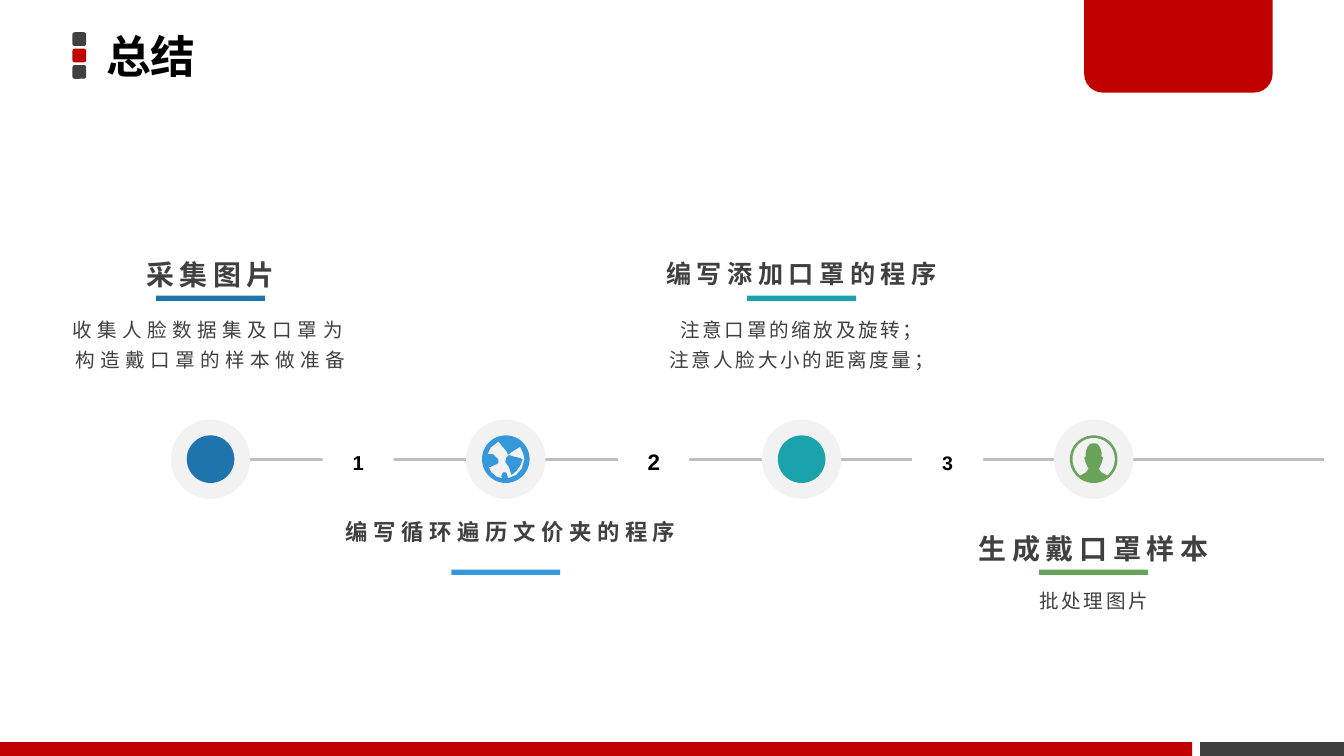
"""Build a summary slide with a four-step timeline."""
import math

import pptx
import pptx.dml.color
import pptx.enum.shapes
import pptx.enum.text
import pptx.oxml.ns
import pptx.oxml.xmlchemy
import pptx.util
from pptx.util import Cm

RGB = pptx.dml.color.RGBColor
SHAPE = pptx.enum.shapes.MSO_SHAPE
ALIGN = pptx.enum.text.PP_ALIGN
ANCHOR = pptx.enum.text.MSO_ANCHOR
qn = pptx.oxml.ns.qn

RED = RGB(0xC0, 0x00, 0x00)
DARK = RGB(0x40, 0x40, 0x40)
BLACK = RGB(0x00, 0x00, 0x00)
WHITE = RGB(0xFF, 0xFF, 0xFF)
PALE = RGB(0xF2, 0xF2, 0xF2)
GREY = RGB(0xBF, 0xBF, 0xBF)
NAVY = RGB(0x1F, 0x74, 0xAD)
BLUE = RGB(0x34, 0x98, 0xDB)
TEAL = RGB(0x1A, 0xA3, 0xAA)
GREEN = RGB(0x69, 0xA3, 0x5B)

AXIS = 8.68
UPPER, LOWER = 5.59, 10.77
GLOBE_SEA = [
    (0.4, 3.6), (0.4, 3.3), (0.1, 2.5), (-0.6, 2.5), (-0.9, 3.3), (-0.6, 3.6),
    (-1.7, 3.3), (-2.7, 2.5), (-3.2, 1.5), (-2.9, 1.5), (-1.4, 0.8), (-1.4, 0),
    (-2.4, -1), (-3.4, -1), (-2.8, -2.2), (-1.4, -3.3), (-0.6, -2.3),
    (0.1, -1.5), (0.4, -0.8), (1.1, -1.3), (2.2, -2), (2.7, -2.3), (3.3, -1),
    (3.5, 0), (3, 1.8), (1.9, 3)]
GLOBE_LAND = [
    (2.4, -0.3), (1.4, -0.5), (0.6, -0.8), (0.1, -0.3), (-0.1, 0.5), (0.1, 0.8),
    (0.6, 1.5), (0.9, 2.5), (1.1, 3), (1.9, 2.3), (2.7, 1.3), (3.2, 0)]
PROFILE = [
    (2.5, 3.05), (1.5, 2.5), (1, 1.8), (1.5, 0.8), (1.8, -0.3), (1.5, -0.5),
    (1.5, -1.3), (1.2, -2.3), (0.7, -2.9), (0, -3)]
HALO = [(4 * math.cos(math.radians(a)), 4 * math.sin(math.radians(a)))
        for a in range(130, 411, 10)]
PERSON_BACKDROP = PROFILE + [(-x, y) for x, y in reversed(PROFILE)] + HALO

STEPS = [
    (3.98, UPPER, NAVY, "采集图片", 15, (3.98, 5.87, 0.89),
     ["收集人脸数据集及口罩为构造戴口罩的样本做准备"], 3, 1.3, []),
    (9.56, LOWER, BLUE, "编写循环遍历文价夹的程序", 12, (9.65, 7.11, 1.47),
     [], 0, 1, [(GLOBE_SEA, PALE), (GLOBE_LAND, BLUE)]),
    (15.15, UPPER, TEAL, "编写添加口罩的程序", 13.5, (15.15, 5.87, 0.89),
     ["注意口罩的缩放及旋转；", "注意人脸大小的距离度量；"], 1.5, 1.3, []),
    (20.67, LOWER, GREEN, "生成戴口罩样本", 15, (20.67, 5.87, 0.89),
     ["批处理图片"], 1.5, 1.2, [(PERSON_BACKDROP, PALE)]),
]


class Deck:
    """Hold the style and the current slide."""

    def __init__(self):
        self.file = pptx.Presentation()
        self.file.slide_width, self.file.slide_height = Cm(25.4), Cm(14.29)
        self.slide = self.file.slides.add_slide(self.file.slide_layouts[5])
        self.shapes = self.slide.shapes

    def paint(self, shape, color):
        shape.shadow.inherit = False
        shape.fill.solid()
        shape.fill.fore_color.rgb = color
        shape.line.fill.background()
        return shape

    def block(self, kind, left, top, width, height, color):
        shape = self.shapes.add_shape(kind, Cm(left), Cm(top), Cm(width), Cm(height))
        return self.paint(shape, color)

    def disc(self, center, diameter, color):
        self.block(SHAPE.OVAL, center - diameter / 2, AXIS - diameter / 2,
                   diameter, diameter, color)

    def outline(self, center, points_mm, color):
        points = [(Cm(center + x / 10), Cm(AXIS + y / 10)) for x, y in points_mm]
        builder = self.shapes.build_freeform(*points[0])
        builder.add_line_segments(points[1:], close=True)
        self.paint(builder.convert_to_shape(), color)

    def axis(self, start, end):
        line = self.shapes.add_connector(
            pptx.enum.shapes.MSO_CONNECTOR.STRAIGHT, Cm(start), Cm(AXIS), Cm(end), Cm(AXIS))
        line.line.color.rgb = GREY
        line.line.width = pptx.util.Pt(1.5)
        properties = line.element.find(qn("p:spPr"))
        properties.append(pptx.oxml.xmlchemy.OxmlElement("a:effectLst"))

    def fill_text(self, shape, lines, size, color, bold=False, spacing=1.2, tracking=0,
                  anchor=ANCHOR.MIDDLE, align=ALIGN.CENTER, font="Arial"):
        frame = shape.text_frame
        frame.word_wrap = True
        frame.vertical_anchor = anchor
        frame.text = "\n".join(lines)
        for paragraph in frame.paragraphs:
            paragraph.alignment = align
            paragraph.line_spacing = spacing
            paragraph.font.name = font
            paragraph.font.size = pptx.util.Pt(size)
            paragraph.font.bold = bold
            paragraph.font.color.rgb = color
        if tracking:
            for properties in shape.element.iter(qn("a:defRPr")):
                properties.set("spc", str(int(tracking * 100)))

    def inset(self, shape, bottom):
        frame = shape.text_frame
        frame.margin_left = frame.margin_right = Cm(0.18)
        frame.margin_top, frame.margin_bottom = Cm(0.1), Cm(bottom)

    def text(self, center, top, width, height, lines, size, bottom=0.1, **style):
        box = self.shapes.add_textbox(Cm(center - width / 2), Cm(top), Cm(width), Cm(height))
        self.inset(box, bottom)
        self.fill_text(box, lines, size, DARK, **style)

    def number(self, center, label, size, spacing):
        box = self.block(SHAPE.RECTANGLE, center - 0.67, AXIS - 0.38, 1.34, 0.79, WHITE)
        self.inset(box, 0.1)
        self.fill_text(box, [label], size, BLACK, bold=True, spacing=spacing)

    def title(self, words):
        title = self.shapes.title
        title.left, title.top, title.width, title.height = Cm(1.75), Cm(0), Cm(21.92), Cm(2.21)
        self.fill_text(title, [words], 24, BLACK, bold=True, spacing=0.9,
                       align=ALIGN.LEFT, font="Noto Sans CJK SC")


def main():
    deck = Deck()
    for row, color in enumerate([DARK, RED, DARK]):
        deck.block(SHAPE.ROUNDED_RECTANGLE, 1.37, 0.61 + row * 0.31, 0.26, 0.26, color)
    deck.block(SHAPE.RECTANGLE, 22.68, 14.03, 2.72, 0.26, DARK)
    ribbon = deck.block(SHAPE.ROUND_2_SAME_RECTANGLE, 20.49, 0, 3.56, 1.75, RED)
    ribbon.rotation = 180
    ribbon.adjustments[0] = 0.2
    deck.block(SHAPE.RECTANGLE, 0, 14.03, 22.53, 0.26, RED)
    deck.title("总结")

    deck.axis(3.28, 25.02)
    for center, rule, color, heading, size, place, details, tracking, spacing, icon in STEPS:
        deck.disc(center, 1.5, PALE)
        deck.disc(center, 0.9, color)
        for points, fill in icon:
            deck.outline(center, points, fill)
        deck.block(SHAPE.RECTANGLE, center - 1.03, rule, 2.06, 0.1, color)
        middle, width, height = place
        deck.text(middle, rule - 0.08 - height, width, height, [heading], size,
                  bottom=0, bold=True, tracking=3)
        if details:
            deck.text(center, rule + 0.18, 5.87, 1.65, details, 10.5,
                      spacing=spacing, tracking=tracking, anchor=ANCHOR.TOP)

    labels = [("1", 10.8, 1.2), ("2", 12, 1.1), ("3", 10.5, 1.2)]
    for before, after, label in zip(STEPS, STEPS[1:], labels):
        deck.number((before[0] + after[0]) / 2, *label)
    deck.file.save("out.pptx")


if __name__ == "__main__":
    main()
